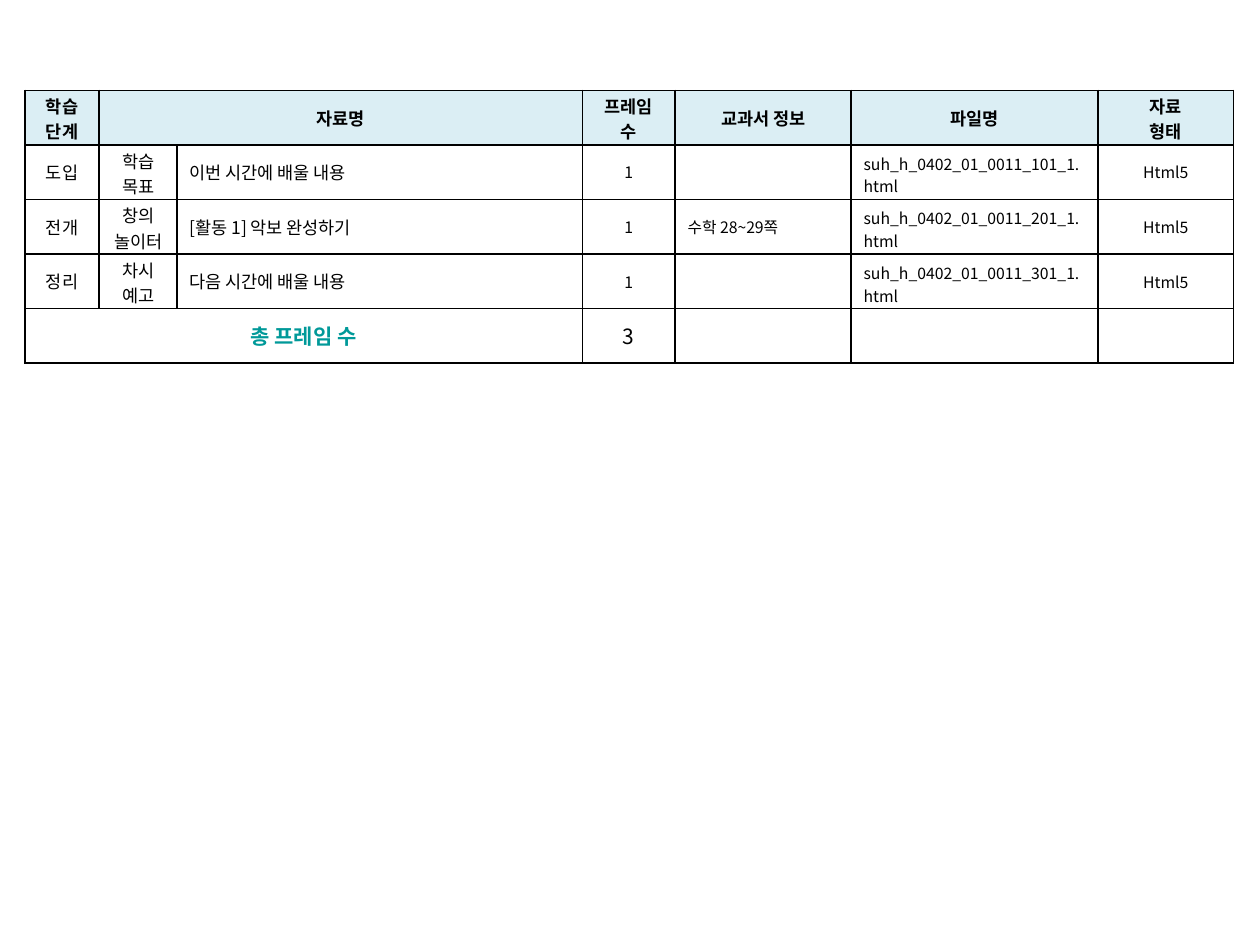
import dataclasses
import typing

import lxml.etree
import pptx
import pptx.dml.color
import pptx.enum.text
import pptx.oxml.ns
import pptx.util

Cm = pptx.util.Cm
Pt = pptx.util.Pt
Color = pptx.dml.color.RGBColor
Align = pptx.enum.text.PP_ALIGN
qn = pptx.oxml.ns.qn


@dataclasses.dataclass(frozen=True)
class Theme:
    font: str = "Noto Sans CJK KR"
    ink: Color = Color(0, 0, 0)
    accent: Color = Color(0x00, 0x99, 0x99)
    header_fill: Color = Color(0xDB, 0xEE, 0xF4)
    small: Pt = Pt(9)
    body: Pt = Pt(10)
    total: Pt = Pt(12)
    border: Pt = Pt(1)


THEME = Theme()


@dataclasses.dataclass(frozen=True)
class CellStyle:
    size: Pt = THEME.body
    color: Color = THEME.ink
    bold: bool = False
    alignment: typing.Optional[Align] = Align.CENTER
    fill: typing.Optional[Color] = None
    margin_top: Cm = Cm(0.13)
    margin_bottom: Cm = Cm(0.13)


@dataclasses.dataclass(frozen=True)
class Lesson:
    stage: str
    section: str
    title: str
    textbook: str
    file_name: str


TWO_LINES = {"margin_top": Cm(0.05), "margin_bottom": Cm(0)}
HEADER = CellStyle(bold=True, fill=THEME.header_fill, **TWO_LINES)
HEADER_LINE = CellStyle(bold=True, fill=THEME.header_fill)
STAGE = CellStyle()
SECTION = CellStyle(**TWO_LINES)
TITLE = CellStyle(alignment=None)
DETAIL = CellStyle(size=THEME.small)
TEXTBOOK = CellStyle(size=THEME.small, alignment=Align.JUSTIFY)
FILE_NAME = CellStyle(
    size=THEME.small, alignment=Align.JUSTIFY, margin_top=Cm(0.1), margin_bottom=Cm(0)
)
TOTAL_LABEL = CellStyle(size=THEME.total, color=THEME.accent, bold=True)
TOTAL = CellStyle(size=THEME.total)

COLUMN_WIDTHS = [1.5, 1.57, 8.17, 1.87, 3.55, 4.97, 2.74]
ROW_HEIGHT = 1.1
HEADINGS = ["학습 단계", "자료명", "", "프레임 수", "교과서 정보", "파일명", "자료\n형태"]
HEADING_STYLES = [HEADER, HEADER_LINE, HEADER_LINE, HEADER, HEADER_LINE, HEADER_LINE, HEADER]
LESSON_STYLES = [STAGE, SECTION, TITLE, DETAIL, TEXTBOOK, FILE_NAME, DETAIL]
TOTALS = ["총 프레임 수", "", "", "3", "", "", ""]
TOTAL_STYLES = [TOTAL_LABEL] + [TOTAL] * 6
LESSONS = [
    Lesson("도입", "학습 목표", "이번 시간에 배울 내용", "", "suh_h_0402_01_0011_101_1.html"),
    Lesson("전개", "창의\n놀이터", "[활동 1] 악보 완성하기", "수학 28~29쪽",
           "suh_h_0402_01_0011_201_1.html"),
    Lesson("정리", "차시 예고", "다음 시간에 배울 내용", "", "suh_h_0402_01_0011_301_1.html"),
]


def set_attributes(target: typing.Any, values: dict) -> None:
    for name, value in values.items():
        setattr(target, name, value)


def draw_borders(cell: typing.Any) -> None:
    properties = cell._tc.get_or_add_tcPr()
    for side in ("a:lnL", "a:lnR", "a:lnT", "a:lnB"):
        line = lxml.etree.SubElement(properties, qn(side), w=str(int(THEME.border)))
        fill = lxml.etree.SubElement(line, qn("a:solidFill"))
        lxml.etree.SubElement(fill, qn("a:srgbClr"), val=str(THEME.ink))


def format_paragraph(paragraph: typing.Any, style: CellStyle) -> None:
    paragraph.alignment = style.alignment
    if not paragraph.runs:
        lxml.etree.SubElement(
            paragraph._p, qn("a:endParaRPr"), sz=str(int(style.size.pt * 100))
        )
    for run in paragraph.runs:
        set_attributes(
            run.font, {"name": THEME.font, "size": style.size, "bold": style.bold}
        )
        run.font.color.rgb = style.color
        lxml.etree.SubElement(run.font._element, qn("a:ea"), typeface=THEME.font)


def fill_cell(cell: typing.Any, text: str, style: CellStyle) -> None:
    draw_borders(cell)
    if style.fill is None:
        cell.fill.background()
    else:
        cell.fill.solid()
        cell.fill.fore_color.rgb = style.fill
    set_attributes(cell, {
        "text": text,
        "vertical_anchor": pptx.enum.text.MSO_ANCHOR.MIDDLE,
        "margin_left": Cm(0.25),
        "margin_right": Cm(0.25),
        "margin_top": style.margin_top,
        "margin_bottom": style.margin_bottom,
    })
    for paragraph in cell.text_frame.paragraphs:
        format_paragraph(paragraph, style)


def lesson_texts(lesson: Lesson) -> list[str]:
    return [lesson.stage, lesson.section, lesson.title, "1",
            lesson.textbook, lesson.file_name, "Html5"]


def draw_lesson_table(slide: typing.Any) -> None:
    rows = [(HEADINGS, HEADING_STYLES)]
    rows += [(lesson_texts(lesson), LESSON_STYLES) for lesson in LESSONS]
    rows.append((TOTALS, TOTAL_STYLES))
    table = slide.shapes.add_table(
        len(rows), len(COLUMN_WIDTHS), Cm(0.5), Cm(1.82),
        Cm(sum(COLUMN_WIDTHS)), Cm(ROW_HEIGHT * len(rows)),
    ).table
    set_attributes(table, {"first_row": False, "horz_banding": False})
    for column, width in zip(table.columns, COLUMN_WIDTHS):
        column.width = Cm(width)
    for row_index, (texts, styles) in enumerate(rows):
        table.rows[row_index].height = Cm(ROW_HEIGHT)
        for column_index, (text, style) in enumerate(zip(texts, styles)):
            fill_cell(table.cell(row_index, column_index), text, style)
    last_row = len(rows) - 1
    table.cell(0, 1).merge(table.cell(0, 2))
    table.cell(last_row, 0).merge(table.cell(last_row, 2))


def main() -> None:
    presentation = pptx.Presentation()
    set_attributes(presentation, {"slide_width": Cm(25.4), "slide_height": Cm(19.05)})
    slide = presentation.slides.add_slide(presentation.slide_layouts[6])
    draw_lesson_table(slide)
    presentation.save("out.pptx")


if __name__ == "__main__":
    main()
